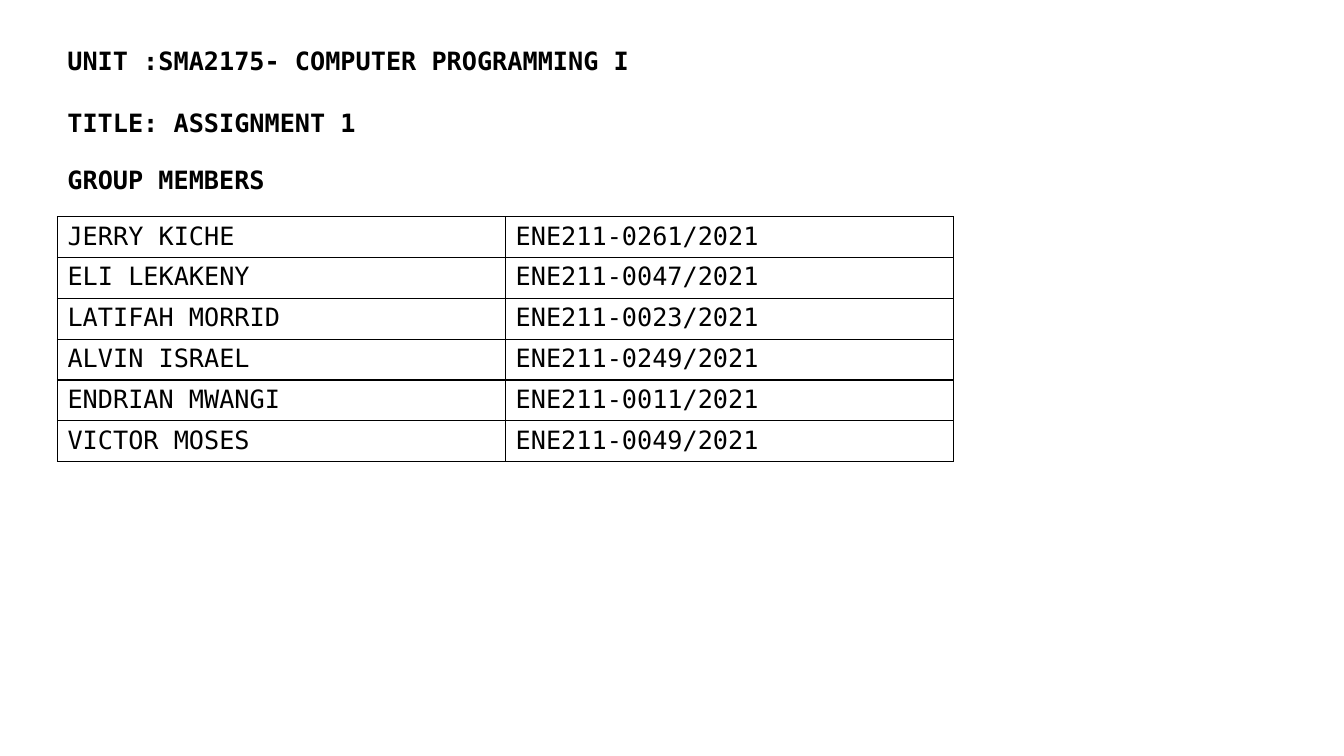
"""Build the assignment cover slide with its group member table."""
from dataclasses import dataclass
from typing import NamedTuple

from lxml import etree
from pptx import Presentation
from pptx import util as u
from pptx.dml import color
from pptx.oxml import ns


@dataclass(frozen=True)
class Theme:
    font: str = "DejaVu Sans Mono"
    size: u.Pt = u.Pt(18)
    ink: str = "000000"
    paper: str = "FFFFFF"
    border: u.Pt = u.Pt(1)
    heading_gap: u.Pt = u.Pt(22.5)


class Heading(NamedTuple):
    lines: tuple[str, ...]
    top: float
    width: float
    height: float


class Member(NamedTuple):
    name: str
    registration: str


THEME = Theme()
LEFT = u.Inches(0.57)
TABLE_TOP, TABLE_WIDTH, TABLE_HEIGHT = u.Inches(2.15), u.Inches(8.89), u.Inches(2.43)
HEADINGS = (
    Heading(("UNIT :SMA2175- COMPUTER PROGRAMMING I", "TITLE: ASSIGNMENT 1"), 0.4, 12.36, 1.01),
    Heading(("GROUP MEMBERS",), 1.58, 6.22, 0.4),
)
MEMBERS = (
    Member("JERRY KICHE", "ENE211-0261/2021"),
    Member("ELI LEKAKENY", "ENE211-0047/2021"),
    Member("LATIFAH MORRID", "ENE211-0023/2021"),
    Member("ALVIN ISRAEL", "ENE211-0249/2021"),
    Member("ENDRIAN MWANGI", "ENE211-0011/2021"),
    Member("VICTOR MOSES", "ENE211-0049/2021"),
)


def add_run(paragraph, content: str, bold: bool = False) -> None:
    run = paragraph.add_run()
    run.text = content
    run.font.name = THEME.font
    run.font.size = THEME.size
    run.font.bold = bold
    run.font.color.rgb = color.RGBColor.from_string(THEME.ink)


def add_heading(slide, heading: Heading) -> None:
    box = slide.shapes.add_textbox(
        LEFT, u.Inches(heading.top), u.Inches(heading.width), u.Inches(heading.height)
    )
    frame = box.text_frame
    frame.word_wrap = True
    for index, line in enumerate(heading.lines):
        paragraph = frame.add_paragraph() if index else frame.paragraphs[0]
        if index:
            paragraph.space_before = THEME.heading_gap
        add_run(paragraph, line, bold=True)


def add_borders(cell) -> None:
    properties = cell._tc.get_or_add_tcPr()
    for index, side in enumerate(("lnL", "lnR", "lnT", "lnB")):
        line = etree.Element(ns.qn(f"a:{side}"), w=str(THEME.border))
        fill = etree.SubElement(line, ns.qn("a:solidFill"))
        etree.SubElement(fill, ns.qn("a:srgbClr"), val=THEME.ink)
        properties.insert(index, line)


def add_member_table(slide, members: tuple[Member, ...]) -> None:
    table = slide.shapes.add_table(
        len(members), len(Member._fields), LEFT, TABLE_TOP, TABLE_WIDTH, TABLE_HEIGHT
    ).table
    table.first_row = False
    table.horz_banding = False
    for row, member in enumerate(members):
        for column, value in enumerate(member):
            cell = table.cell(row, column)
            cell.fill.solid()
            cell.fill.fore_color.rgb = color.RGBColor.from_string(THEME.paper)
            add_borders(cell)
            add_run(cell.text_frame.paragraphs[0], value)


def main() -> None:
    presentation = Presentation()
    presentation.slide_width = u.Inches(13.33)
    presentation.slide_height = u.Inches(7.5)
    slide = presentation.slides.add_slide(presentation.slide_layouts[6])
    for heading in HEADINGS:
        add_heading(slide, heading)
    add_member_table(slide, MEMBERS)
    presentation.save("out.pptx")


main()
